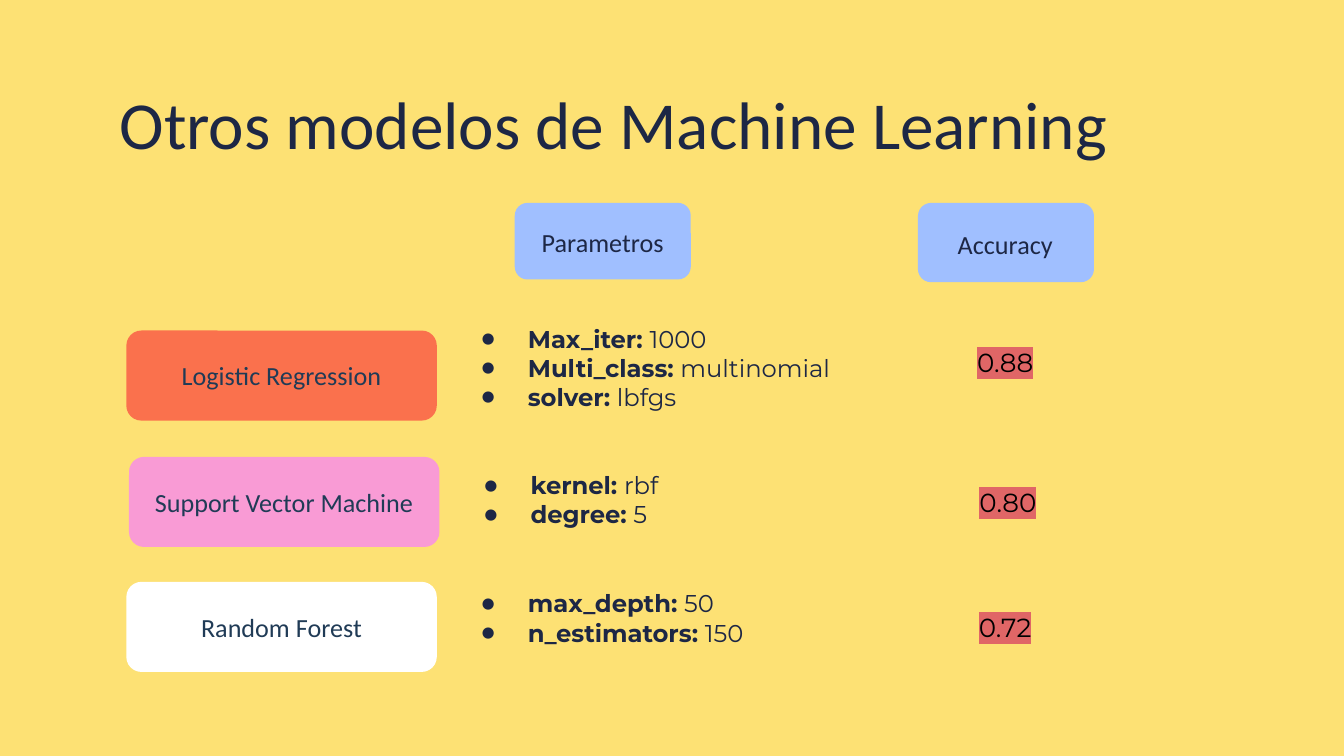
"""Build a slide comparing parameters and accuracy of three machine learning models."""
from dataclasses import dataclass

from lxml import etree
from pptx import Presentation
from pptx.dml.color import RGBColor
from pptx.enum.shapes import MSO_SHAPE
from pptx.enum.text import MSO_ANCHOR, MSO_AUTO_SIZE, PP_ALIGN
from pptx.oxml.ns import qn
from pptx.util import Inches, Pt

ROUNDED = MSO_SHAPE.ROUNDED_RECTANGLE
TOP, MIDDLE = MSO_ANCHOR.TOP, MSO_ANCHOR.MIDDLE
LEFT, CENTER = PP_ALIGN.LEFT, PP_ALIGN.CENTER
NO_AUTOFIT = MSO_AUTO_SIZE.NONE

SLIDE_WIDTH = Inches(10)
SLIDE_HEIGHT = SLIDE_WIDTH * 9 // 16
COLORS = {
    "background": "FDE174",
    "ink": "1D2745",
    "model": "203B56",
    "score": "000000",
    "highlight": "E06666",
    "header": "A0BFFF",
    "orange": "FA714D",
    "pink": "F99BD5",
    "white": "FFFFFF",
}
TITLE_STYLE = {"name": "Calibri", "size": Pt(36)}
LABEL_STYLE = {"name": "Calibri", "size": Pt(14)}
PARAMETER_STYLE = {"name": "Montserrat", "size": Pt(13)}
SCORE_STYLE = {"name": "Montserrat", "size": Pt(14)}
FRAME_STYLE = {"word_wrap": True, "auto_size": NO_AUTOFIT} | {
    f"margin_{side}": Inches(0.1) for side in ("left", "top", "right", "bottom")
}
Box = tuple[float, float, float, float]


@dataclass
class Header:
    text: str
    card: Box
    label: Box


@dataclass
class Model:
    name: str
    color: str
    left: float
    top: float
    parameters: list[tuple[str, str]]
    parameter_box: Box
    score: str
    score_left: float
    score_top: float


HEADERS = [
    Header("Parametros", (3.83, 1.51, 1.31, 0.57), (3.92, 1.54, 1.13, 0.52)),
    Header("Accuracy", (6.83, 1.51, 1.31, 0.59), (6.88, 1.53, 1.2, 0.57)),
]
MODELS = [
    Model("Logistic Regression", "orange", 0.94, 2.46,
          [("Max_iter: ", "1000"), ("Multi_class: ", "multinomial"), ("solver: ", "lbfgs")],
          (3.33, 2.31, 3.04, 1.16), "0.88", 6.86, 2.48),
    Model("Support Vector Machine", "pink", 0.96, 3.4,
          [("kernel: ", "rbf"), ("degree: ", "5")],
          (3.35, 3.4, 1.87, 0.94), "0.80", 6.88, 3.52),
    Model("Random Forest", "white", 0.94, 4.33,
          [("max_depth: ", "50"), ("n_estimators: ", "150")],
          (3.33, 4.28, 2.42, 0.94), "0.72", 6.86, 4.45),
]


def apply(target, values: dict) -> None:
    """Set each named attribute on the target."""
    for attribute, value in values.items():
        setattr(target, attribute, value)


def add_run(paragraph, text: str, style: dict, color: str, bold: bool = False):
    """Append a formatted run to the paragraph."""
    run = paragraph.add_run()
    run.text = text
    apply(run.font, style | {"bold": bold})
    run.font.color.rgb = RGBColor.from_string(COLORS[color])
    return run


def write_line(shape, text: str, style: dict, color: str, align=CENTER, anchor=MIDDLE):
    """Write a single line of text in the shape and return its run."""
    apply(shape.text_frame, FRAME_STYLE | {"vertical_anchor": anchor})
    paragraph = shape.text_frame.paragraphs[0]
    paragraph.alignment = align
    return add_run(paragraph, text, style, color)


def add_card(slide, box: Box, color: str):
    """Draw a flat rounded card."""
    card = slide.shapes.add_shape(ROUNDED, *map(Inches, box))
    card.shadow.inherit = False
    card.fill.solid()
    card.fill.fore_color.rgb = RGBColor.from_string(COLORS[color])
    card.line.fill.background()
    return card


def add_bullet(paragraph) -> None:
    """Give the paragraph a hanging round bullet."""
    properties = paragraph._p.get_or_add_pPr()
    properties.set("marL", str(Inches(0.5)))
    properties.set("indent", str(Inches(-0.35)))
    bullet_color = etree.SubElement(properties, qn("a:buClr"))
    etree.SubElement(bullet_color, qn("a:srgbClr"), val=COLORS["ink"])
    etree.SubElement(properties, qn("a:buFont"), typeface="Calibri")
    etree.SubElement(properties, qn("a:buChar"), char="●")


def highlight(run, color: str) -> None:
    """Put a highlight colour behind the run."""
    marker = etree.Element(qn("a:highlight"))
    etree.SubElement(marker, qn("a:srgbClr"), val=COLORS[color])
    run.font._element.find(qn("a:solidFill")).addnext(marker)


def add_header(slide, header: Header) -> None:
    """Draw a column header with its label."""
    add_card(slide, header.card, "header")
    label = slide.shapes.add_textbox(*map(Inches, header.label))
    write_line(label, header.text, LABEL_STYLE, "ink")


def add_model(slide, model: Model) -> None:
    """Draw a model card, its parameters and its accuracy."""
    card = add_card(slide, (model.left, model.top, 2.31, 0.67), model.color)
    write_line(card, model.name, LABEL_STYLE, "model")

    frame = slide.shapes.add_textbox(*map(Inches, model.parameter_box)).text_frame
    apply(frame, FRAME_STYLE)
    for index, (key, value) in enumerate(model.parameters):
        paragraph = frame.add_paragraph() if index else frame.paragraphs[0]
        add_bullet(paragraph)
        add_run(paragraph, key, PARAMETER_STYLE, "ink", bold=True)
        add_run(paragraph, value, PARAMETER_STYLE, "ink")

    score_box = (model.score_left, model.score_top, 1.24, 0.44)
    score = slide.shapes.add_textbox(*map(Inches, score_box))
    highlight(write_line(score, model.score, SCORE_STYLE, "score", anchor=TOP), "highlight")


def main() -> None:
    """Assemble and save the slide."""
    presentation = Presentation()
    apply(presentation, {"slide_width": SLIDE_WIDTH, "slide_height": SLIDE_HEIGHT})
    slide = presentation.slides.add_slide(presentation.slide_layouts[5])
    slide.background.fill.solid()
    slide.background.fill.fore_color.rgb = RGBColor.from_string(COLORS["background"])

    title = slide.shapes.title
    apply(title, {"left": Inches(0.79), "top": Inches(0.51),
                  "width": Inches(8.43), "height": Inches(0.67)})
    write_line(title, "Otros modelos de Machine Learning", TITLE_STYLE, "ink", LEFT, TOP)

    for header in HEADERS:
        add_header(slide, header)
    for model in MODELS:
        add_model(slide, model)
    presentation.save("out.pptx")


if __name__ == "__main__":
    main()
